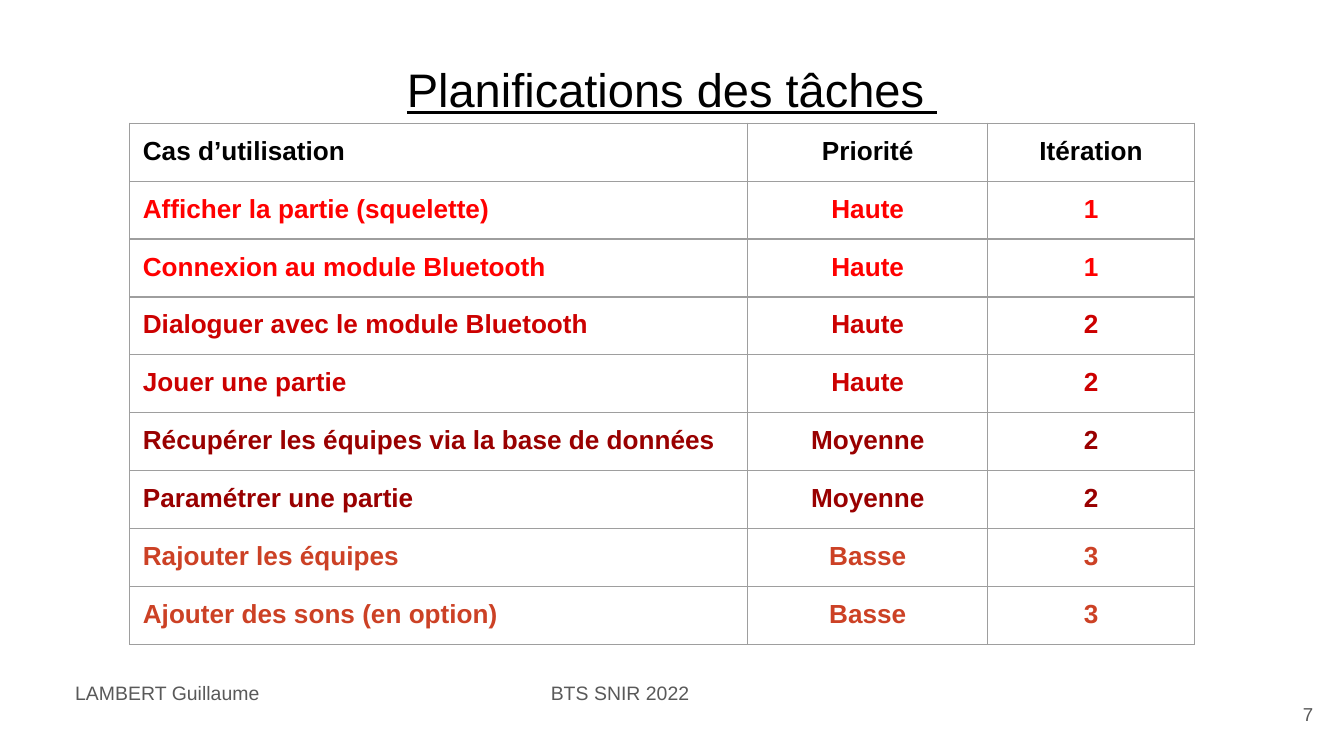
from typing import NamedTuple

from lxml.etree import SubElement
from pptx import Presentation
from pptx.dml.color import RGBColor
from pptx.enum.text import MSO_ANCHOR, PP_ALIGN
from pptx.oxml.ns import qn
from pptx.util import Cm, Pt

COLORS = {
    "black": "000000", "grey": "595959", "border": "9E9E9E",
    "red": "FF0000", "dark_red": "CC0000", "maroon": "990000", "brick": "CC4125",
}
MARGIN = Cm(0.25)
MARGINS = {f"margin_{side}": MARGIN for side in ("left", "top", "right", "bottom")}
COLUMN_WIDTHS = (11.68, 4.54, 3.9)
ROW_HEIGHT = 1.06


class Label(NamedTuple):
    text: str
    left: float
    top: float
    width: float
    height: float
    size: float
    color: str = "grey"
    align: PP_ALIGN = PP_ALIGN.LEFT
    anchor: MSO_ANCHOR = MSO_ANCHOR.TOP
    underline: bool = False
    paragraph: dict = {}


class Task(NamedTuple):
    use_case: str
    priority: str
    iteration: str
    color: str


FOOTER = {"line_spacing": 0.8, "space_after": Pt(12)}
LABELS = [
    Label("Planifications des tâches ", 0.87, 0.89, 23.67, 1.6, 25.2, "black",
          PP_ALIGN.CENTER, underline=True),
    Label("7", 23.55, 12.95, 1.52, 1.09, 10, align=PP_ALIGN.RIGHT,
          anchor=MSO_ANCHOR.MIDDLE),
    Label("LAMBERT Guillaume", 1.17, 12.78, 5.08, 1.09, 10.4, paragraph=FOOTER),
    Label("BTS SNIR 2022", 10.16, 12.78, 5.08, 1.09, 10.4, paragraph=FOOTER),
]
TASKS = [
    Task("Cas d’utilisation", "Priorité", "Itération", "black"),
    Task("Afficher la partie (squelette)", "Haute", "1", "red"),
    Task("Connexion au module Bluetooth", "Haute", "1", "red"),
    Task("Dialoguer avec le module Bluetooth", "Haute", "2", "dark_red"),
    Task("Jouer une partie", "Haute", "2", "dark_red"),
    Task("Récupérer les équipes via la base de données", "Moyenne", "2", "maroon"),
    Task("Paramétrer une partie", "Moyenne", "2", "maroon"),
    Task("Rajouter les équipes", "Basse", "3", "brick"),
    Task("Ajouter des sons (en option)", "Basse", "3", "brick"),
]


def apply(target, values: dict) -> None:
    for name, value in values.items():
        setattr(target, name, value)


def write(tf, text: str, color: str, align: PP_ALIGN, font: dict, paragraph: dict) -> None:
    p = tf.paragraphs[0]
    apply(p, {"alignment": align, **paragraph})
    r = p.add_run()
    r.text = text
    apply(r.font, {"name": "Arial", **font})
    r.font.color.rgb = RGBColor.from_string(COLORS[color])


def add_label(s, label: Label) -> None:
    sp = s.shapes.add_textbox(Cm(label.left), Cm(label.top),
                              Cm(label.width), Cm(label.height))
    tf = sp.text_frame
    apply(tf, {"word_wrap": True, "vertical_anchor": label.anchor, **MARGINS})
    write(tf, label.text, label.color, label.align,
          {"size": Pt(label.size), "underline": label.underline}, label.paragraph)


def add_borders(cell) -> None:
    tc_pr = cell._tc.get_or_add_tcPr()
    for side in ("lnL", "lnR", "lnT", "lnB"):
        ln = SubElement(tc_pr, qn(f"a:{side}"), w=str(Pt(0.75)))
        fill = SubElement(ln, qn("a:solidFill"))
        SubElement(fill, qn("a:srgbClr"), val=COLORS["border"])


def add_task_table(s, tasks: list[Task]) -> None:
    table = s.shapes.add_table(
        len(tasks), len(COLUMN_WIDTHS), Cm(2.45), Cm(2.33),
        Cm(sum(COLUMN_WIDTHS)), Cm(ROW_HEIGHT * len(tasks))).table
    apply(table, {"first_row": False, "horz_banding": False})
    for column, width in zip(table.columns, COLUMN_WIDTHS):
        column.width = Cm(width)
    for row, task in zip(table.rows, tasks):
        row.height = Cm(ROW_HEIGHT)
        texts = (task.use_case, task.priority, task.iteration)
        for i, (cell, text) in enumerate(zip(row.cells, texts)):
            apply(cell, MARGINS)
            add_borders(cell)
            cell.fill.background()
            write(cell.text_frame, text, task.color,
                  PP_ALIGN.CENTER if i else PP_ALIGN.LEFT,
                  {"size": Pt(14), "bold": True}, {})


def main() -> None:
    prs = Presentation()
    apply(prs, {"slide_width": Cm(25.4), "slide_height": Cm(14.29)})
    s = prs.slides.add_slide(prs.slide_layouts[6])

    # Title, page number and footers
    for label in LABELS:
        add_label(s, label)

    # Task planning table
    add_task_table(s, TASKS)

    prs.save("out.pptx")


if __name__ == "__main__":
    main()
